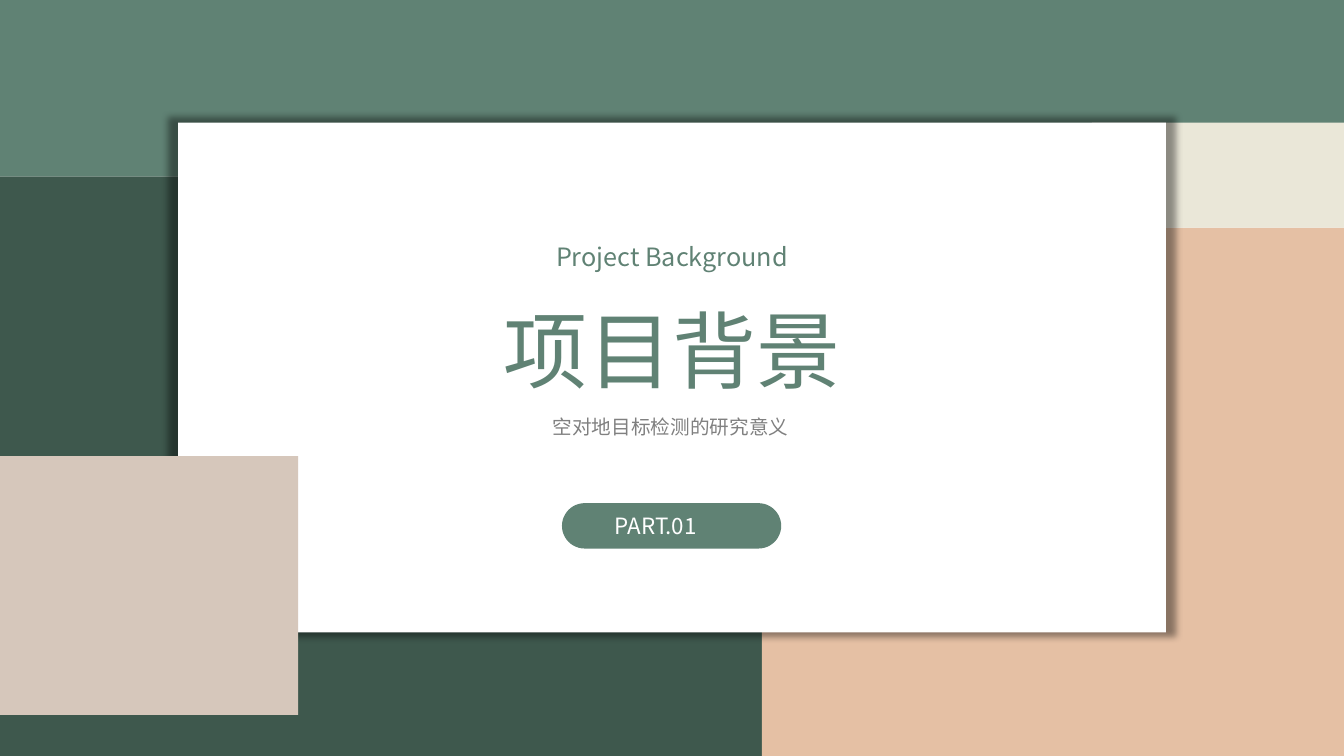
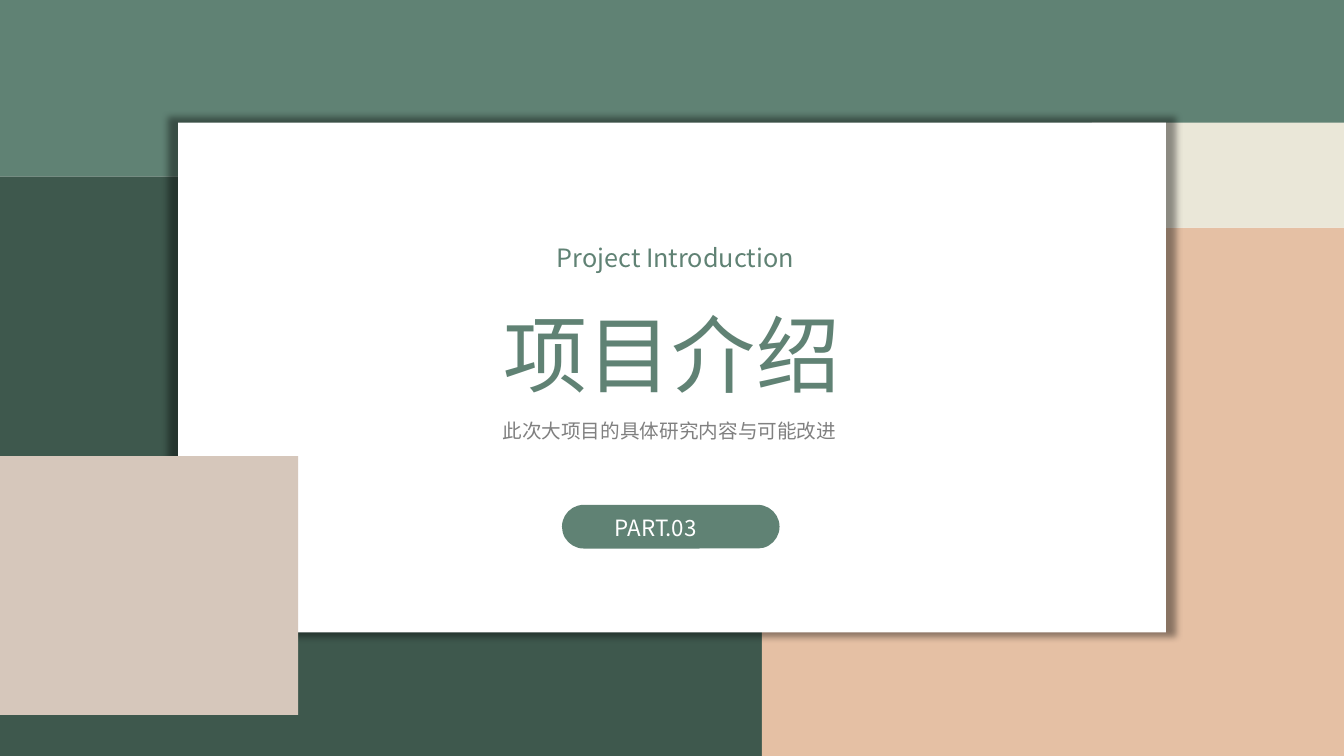
"""Build the section divider slides of a project presentation."""
from dataclasses import dataclass
from typing import NamedTuple

import lxml.etree
import pptx
import pptx.dml.color
import pptx.enum.shapes
import pptx.enum.text
import pptx.oxml
import pptx.oxml.ns
import pptx.presentation
import pptx.shapes.autoshape
import pptx.slide
import pptx.util

RGBColor = pptx.dml.color.RGBColor
Shape = pptx.shapes.autoshape.Shape
Slide = pptx.slide.Slide
MSO_SHAPE = pptx.enum.shapes.MSO_SHAPE
PP_ALIGN = pptx.enum.text.PP_ALIGN

SAGE = RGBColor(0x60, 0x82, 0x74)
FOREST = RGBColor(0x3E, 0x58, 0x4D)
PEACH = RGBColor(0xE5, 0xC0, 0xA4)
CREAM = RGBColor(0xEA, 0xE7, 0xD8)
SAND = RGBColor(0xD6, 0xC7, 0xBB)
GRAY = RGBColor(0x80, 0x80, 0x80)
WHITE = RGBColor(0xFF, 0xFF, 0xFF)

FONT = "Noto Sans CJK JP"
SLIDE_WIDTH = pptx.util.Inches(13.33)
SLIDE_HEIGHT = pptx.util.Inches(7.5)
COLUMNS, ROWS = 16, 9
TITLE_ONLY = 5


class Area(NamedTuple):
    """Place and size in grid columns and rows."""

    column: float
    row: float
    columns: float
    rows: float

    def lengths(self) -> tuple[int, int, int, int]:
        """Return left, top, width and height as lengths on the slide."""
        across, down = SLIDE_WIDTH / COLUMNS, SLIDE_HEIGHT / ROWS
        return (round(self.column * across), round(self.row * down),
                round(self.columns * across), round(self.rows * down))


class Block(NamedTuple):
    """Plain coloured rectangle of the backdrop."""

    area: Area
    color: RGBColor


@dataclass(frozen=True)
class TextStyle:
    """Look of one line of text."""

    size: int
    color: RGBColor
    spacing: float = 1.0
    align: PP_ALIGN = PP_ALIGN.CENTER


@dataclass(frozen=True)
class Line:
    """Wording of one line and its place."""

    text: str
    area: Area


@dataclass(frozen=True)
class Section:
    """Content of one divider slide."""

    english: Line
    title: Line
    summary: Line
    number: Line
    badge: Area


BACKDROP = (
    Block(Area(0, 2.1, 9.07, 6.9), FOREST),
    Block(Area(0, 0, COLUMNS, 2.1), SAGE),
    Block(Area(9.07, 2.71, 6.93, 6.29), PEACH),
    Block(Area(13, 1.46, 3, 1.25), CREAM),
)
PANEL = Block(Area(2.12, 1.46, 11.76, 6.07), WHITE)
CORNER = Block(Area(0, 5.43, 3.55, 3.08), SAND)

ENGLISH_STYLE = TextStyle(18, SAGE, 1.5)
TITLE_STYLE = TextStyle(60, SAGE, 1.2)
SUMMARY_STYLE = TextStyle(14, GRAY, 1.5)
NUMBER_STYLE = TextStyle(16, WHITE, align=PP_ALIGN.JUSTIFY)

SECTIONS = (
    Section(
        english=Line("Project Background", Area(4.49, 2.63, 7.02, 0.61)),
        title=Line("项目背景", Area(3.08, 3.25, 9.84, 1.48)),
        summary=Line("空对地目标检测的研究意义", Area(3.12, 4.74, 9.73, 0.5)),
        number=Line("PART.01", Area(7.2, 6.04, 1.58, 0.46)),
        badge=Area(6.69, 5.99, 2.61, 0.54),
    ),
    Section(
        english=Line("Project Introduction", Area(4.54, 2.65, 7, 0.61)),
        title=Line("项目介绍", Area(3.1, 3.3, 9.8, 1.46)),
        summary=Line("此次大项目的具体研究内容与可能改进", Area(3.12, 4.79, 9.7, 0.5)),
        number=Line("PART.03", Area(7.2, 6.06, 1.58, 0.44)),
        badge=Area(6.69, 6.01, 2.59, 0.52),
    ),
)


def apply_format(target: object, values: dict[str, object]) -> None:
    """Set each named attribute on the target."""
    for attribute, value in values.items():
        setattr(target, attribute, value)


def add_block(slide: Slide, block: Block,
              outline: MSO_SHAPE = MSO_SHAPE.RECTANGLE) -> Shape:
    """Draw a flat shape without line or shadow."""
    drawn = slide.shapes.add_shape(outline, *block.area.lengths())
    drawn.shadow.inherit = False
    drawn.fill.solid()
    drawn.fill.fore_color.rgb = block.color
    drawn.line.fill.background()
    return drawn


def add_glow_shadow(panel: Shape) -> None:
    """Give the panel a soft shadow that spreads evenly from its centre."""
    qn = pptx.oxml.ns.qn
    effects = panel.element.spPr.find(qn("a:effectLst"))
    shadow = lxml.etree.SubElement(
        effects, qn("a:outerShdw"), blurRad=str(pptx.util.Pt(5)),
        sx="102000", sy="102000", algn="ctr", rotWithShape="0")
    black = lxml.etree.SubElement(shadow, qn("a:srgbClr"), val="000000")
    lxml.etree.SubElement(black, qn("a:alpha"), val="40000")


def write_line(holder: Shape, line: Line, style: TextStyle) -> None:
    """Place the holder and write one styled line into it."""
    places = zip(("left", "top", "width", "height"), line.area.lengths())
    apply_format(holder, dict(places))
    frame = holder.text_frame
    apply_format(frame, {
        "text": line.text,
        "word_wrap": True,
        "auto_size": pptx.enum.text.MSO_AUTO_SIZE.SHAPE_TO_FIT_TEXT,
        "vertical_anchor": pptx.enum.text.MSO_ANCHOR.TOP,
    })
    paragraph = frame.paragraphs[0]
    apply_format(paragraph, {"alignment": style.align,
                             "line_spacing": style.spacing})
    wording = paragraph.runs[0]
    apply_format(wording.font, {"size": pptx.util.Pt(style.size), "name": FONT})
    wording.font.color.rgb = style.color
    properties = wording.font._element
    lxml.etree.SubElement(properties, pptx.oxml.ns.qn("a:ea"), typeface=FONT)


def add_line(slide: Slide, line: Line, style: TextStyle) -> None:
    """Add a text box with one styled line."""
    write_line(slide.shapes.add_textbox(*line.area.lengths()), line, style)


def add_title(slide: Slide, line: Line) -> None:
    """Fill the title placeholder and bring it in front of the panel."""
    title = slide.shapes.title
    title.element.getparent().append(title.element)
    write_line(title, line, TITLE_STYLE)


def add_section(deck: pptx.presentation.Presentation, section: Section) -> None:
    """Add one divider slide."""
    slide = deck.slides.add_slide(deck.slide_layouts[TITLE_ONLY])
    for block in BACKDROP:
        add_block(slide, block)
    add_glow_shadow(add_block(slide, PANEL))
    add_line(slide, section.english, ENGLISH_STYLE)
    add_title(slide, section.title)
    badge = add_block(slide, Block(section.badge, SAGE),
                      MSO_SHAPE.ROUNDED_RECTANGLE)
    badge.adjustments[0] = 0.5
    add_line(slide, section.number, NUMBER_STYLE)
    add_line(slide, section.summary, SUMMARY_STYLE)
    add_block(slide, CORNER)


def main() -> None:
    """Build and save the presentation."""
    deck = pptx.Presentation()
    apply_format(deck, {"slide_width": SLIDE_WIDTH,
                        "slide_height": SLIDE_HEIGHT})
    for section in SECTIONS:
        add_section(deck, section)
    deck.save("out.pptx")


if __name__ == "__main__":
    main()
